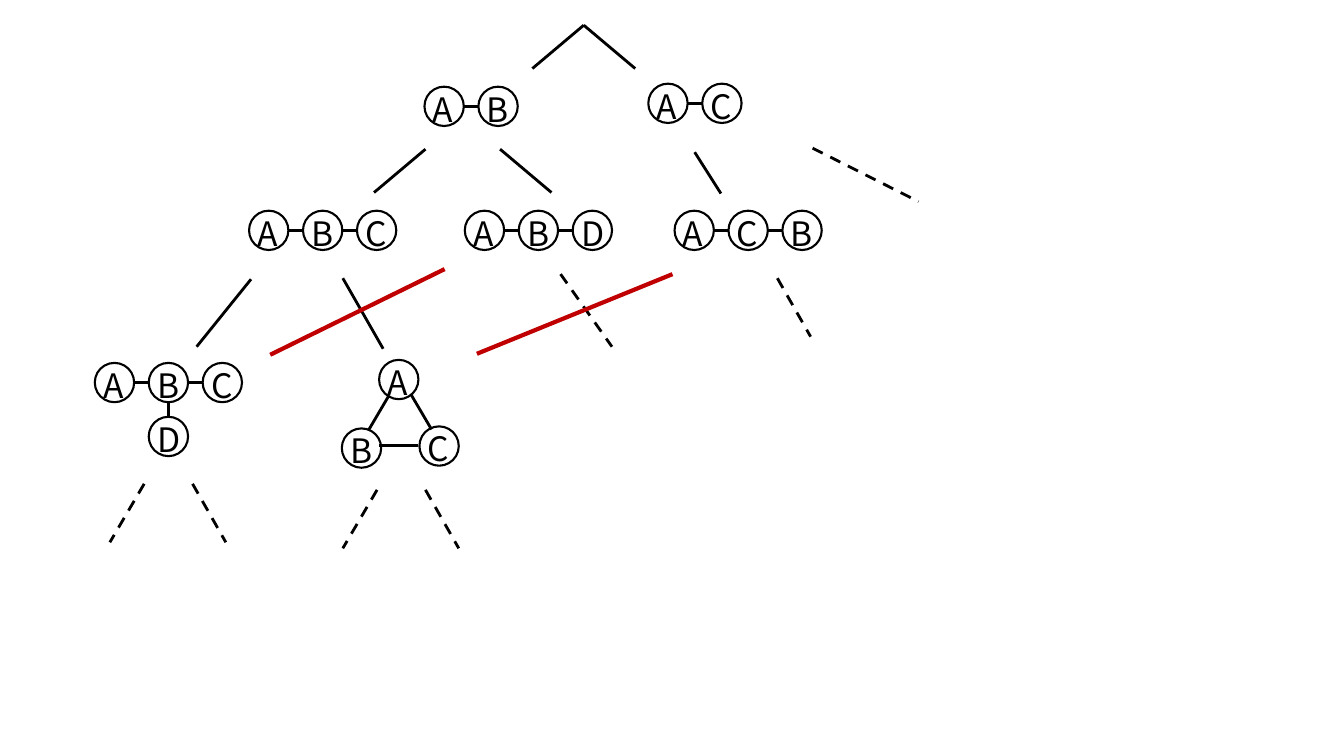
from dataclasses import dataclass

from lxml.etree import SubElement
from pptx import Presentation
from pptx.dml.color import RGBColor
from pptx.enum.dml import MSO_LINE_DASH_STYLE as Dash
from pptx.enum.shapes import MSO_CONNECTOR as Connector, MSO_SHAPE as Shape
from pptx.enum.text import MSO_AUTO_SIZE as AutoSize
from pptx.oxml.ns import qn
from pptx.util import Inches, Pt


@dataclass(frozen=True)
class Theme:
    """Colours, type and line weights of the slide."""
    ink: RGBColor = RGBColor(0, 0, 0)
    duplicate: RGBColor = RGBColor(0xC0, 0, 0)
    font: str = "Noto Sans CJK JP"
    letter_size: float = 24
    outline: float = 1.5
    bond: float = 2
    duplicate_link: float = 3


THEME = Theme()
DIAMETER = 0.39
RADIUS = DIAMETER / 2
STEP = 0.535
LETTER_WIDTHS = {"A": 0.42, "B": 0.43, "C": 0.43, "D": 0.45}

CHAINS = [
    ("AB", 4.21, 0.86),
    ("AC", 6.43, 0.83),
    ("ABC", 2.47, 2.09),
    ("ABD", 4.61, 2.09),
    ("ACB", 6.69, 2.09),
]
BRANCHES = [
    (5.79, 0.25, 6.3, 0.68),
    (5.79, 0.25, 5.28, 0.68),
    (4.22, 1.48, 3.71, 1.91),
    (4.96, 1.48, 5.47, 1.91),
    (6.89, 1.51, 7.15, 1.92),
    (2.49, 2.77, 1.95, 3.44),
    (3.4, 2.76, 3.8, 3.46),
]
UNEXPLORED = [
    (8.06, 1.47, 9.11, 2),
    (5.56, 2.72, 6.07, 3.44),
    (7.71, 2.76, 8.04, 3.34),
    (1.43, 4.8, 1.09, 5.38),
    (1.91, 4.8, 2.24, 5.38),
    (3.74, 4.86, 3.4, 5.44),
    (4.22, 4.86, 4.55, 5.44),
]
DUPLICATES = [
    (6.67, 2.72, 4.73, 3.51),
    (4.41, 2.67, 2.68, 3.52),
]


def add_text(shapes, text, left, top, width, height, *, size, color, font):
    """Add a one-line text box that does not wrap."""
    box = shapes.add_textbox(Inches(left), Inches(top), Inches(width), Inches(height))
    frame = box.text_frame
    frame.word_wrap = False
    frame.auto_size = AutoSize.SHAPE_TO_FIT_TEXT
    run = frame.paragraphs[0].add_run()
    run.text = text
    run.font.size = Pt(size)
    run.font.color.rgb = color
    run.font.name = font


def add_line(shapes, x1, y1, x2, y2, color=THEME.ink, weight=THEME.bond, dashed=False):
    """Draw a straight line without a shadow."""
    line = shapes.add_connector(
        Connector.STRAIGHT, Inches(x1), Inches(y1), Inches(x2), Inches(y2))
    line.line.color.rgb = color
    line.line.width = Pt(weight)
    if dashed:
        line.line.dash_style = Dash.DASH
    SubElement(line._element.spPr, qn("a:effectLst"))


def add_node(shapes, letter, left, top):
    """Draw a circled letter whose circle starts at left, top."""
    circle = shapes.add_shape(
        Shape.OVAL, Inches(left), Inches(top), Inches(DIAMETER), Inches(DIAMETER))
    circle.shadow.inherit = False
    circle.fill.background()
    circle.line.color.rgb = THEME.ink
    circle.line.width = Pt(THEME.outline)
    add_text(shapes, letter, left - 0.015, top - 0.03, LETTER_WIDTHS[letter], 0.5,
             size=THEME.letter_size, color=THEME.ink, font=THEME.font)


def add_chain(shapes, letters, left, top):
    """Draw a row of bonded nodes."""
    for index, letter in enumerate(letters):
        x = left + index * STEP
        add_node(shapes, letter, x, top)
        if index:
            add_line(shapes, x - STEP + DIAMETER, top + RADIUS, x, top + RADIUS)


def add_star(shapes, left, top):
    """Draw the chain A-B-C with D hanging from B."""
    add_chain(shapes, "ABC", left, top)
    add_node(shapes, "D", left + STEP, top + STEP)
    stem = left + STEP + RADIUS
    add_line(shapes, stem, top + DIAMETER, stem, top + STEP)


def add_ring(shapes, left, top):
    """Draw the triangle of A, B and C."""
    add_node(shapes, "A", left + 0.37, top)
    add_node(shapes, "B", left, top + 0.68)
    add_node(shapes, "C", left + 0.77, top + 0.66)
    add_line(shapes, left + 0.69, top + 0.35, left + 0.89, top + 0.69)
    add_line(shapes, left + 0.47, top + 0.35, left + 0.27, top + 0.69)
    add_line(shapes, left + 0.37, top + 0.85, left + 0.76, top + 0.85)


def add_search_tree(shapes):
    """Draw the subgraphs and the links between them."""
    for letters, left, top in CHAINS:
        add_chain(shapes.add_group_shape().shapes, letters, left, top)
    add_star(shapes.add_group_shape().shapes, 0.94, 3.6)
    add_ring(shapes.add_group_shape().shapes, 3.39, 3.57)
    for ends in BRANCHES:
        add_line(shapes, *ends)
    for ends in UNEXPLORED:
        add_line(shapes, *ends, dashed=True)
    for ends in DUPLICATES:
        add_line(shapes, *ends, color=THEME.duplicate, weight=THEME.duplicate_link)


def main():
    """Build and save the slide."""
    deck = Presentation()
    deck.slide_width, deck.slide_height = Inches(13.33), Inches(7.5)
    slide = deck.slides.add_slide(deck.slide_layouts[6])
    add_search_tree(slide.shapes)
    deck.save("out.pptx")


if __name__ == "__main__":
    main()
